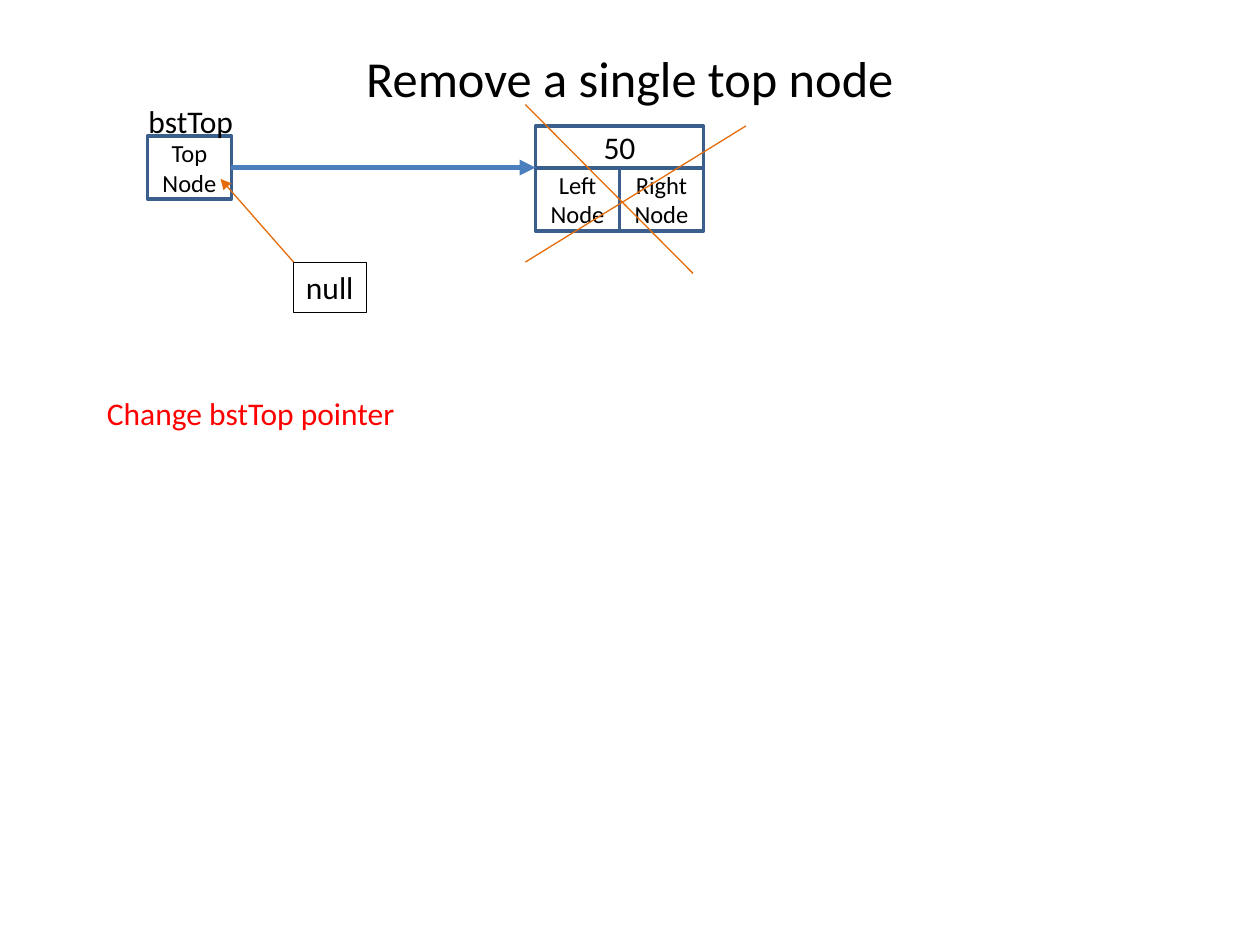
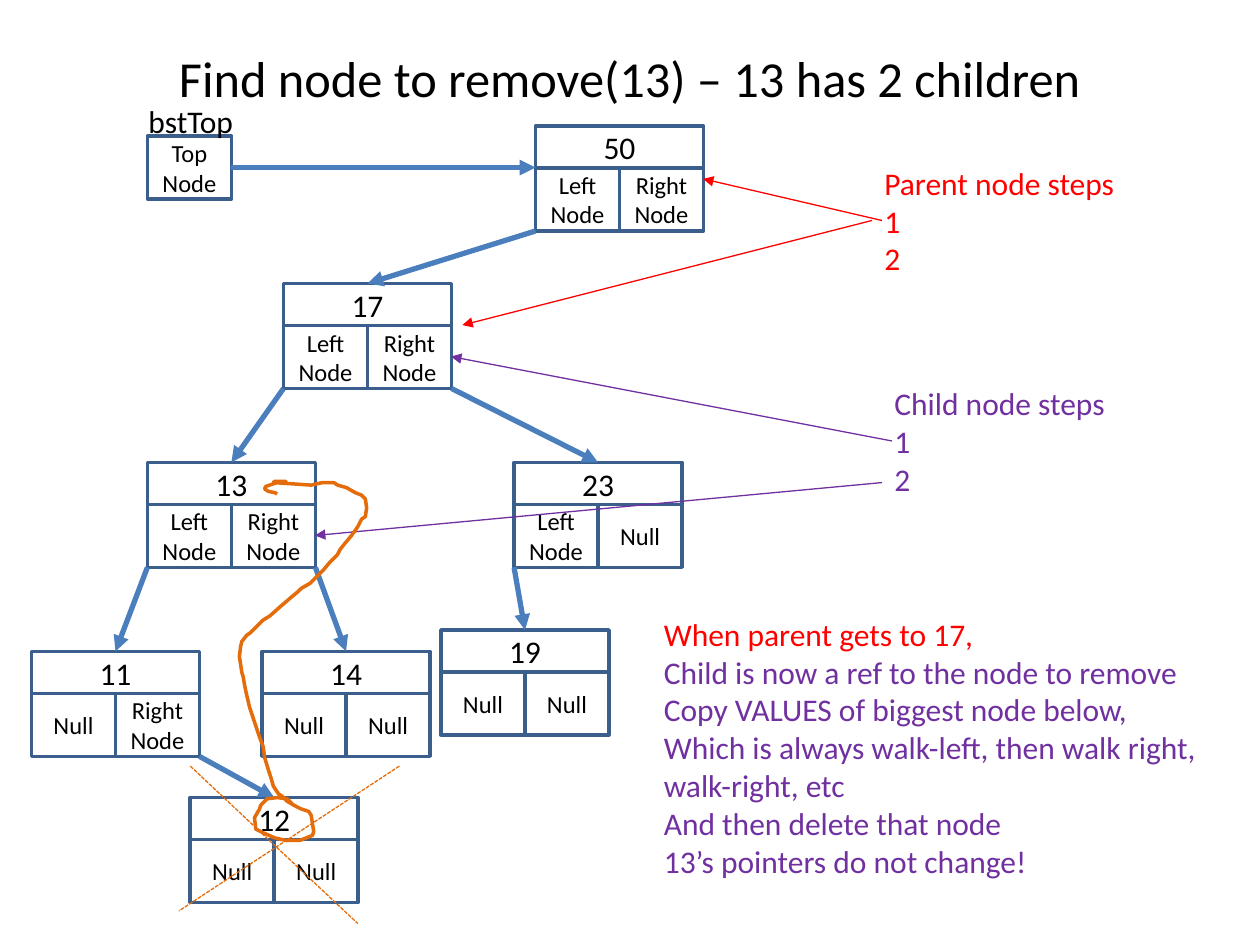
"""Build two slides that show node removal in a binary search tree."""
import pptx
import pptx.util
import pptx.dml.color
import pptx.enum.dml
import pptx.enum.shapes
import pptx.enum.text
import pptx.oxml
import pptx.oxml.ns

Inches = pptx.util.Inches
Pt = pptx.util.Pt
Align = pptx.enum.text.PP_ALIGN
Anchor = pptx.enum.text.MSO_ANCHOR
Fit = pptx.enum.text.MSO_AUTO_SIZE
Rect = pptx.enum.shapes.MSO_SHAPE.RECTANGLE
Straight = pptx.enum.shapes.MSO_CONNECTOR.STRAIGHT
Dash = pptx.enum.dml.MSO_LINE.SQUARE_DOT

BLACK, WHITE = "000000", "FFFFFF"
RED, PURPLE, ORANGE = "FF0000", "7030A0", "E46C0A"
EDGE, BLUE = "3A5F8C", "4B7EBC"
WIDE, HALF, HEAD, FOOT = 4 / 3, 2 / 3, 1 / 3, 0.5


def tint(code):
    return pptx.dml.color.RGBColor.from_string(code)


class Deck:
    def __init__(self):
        self.show = pptx.Presentation()
        self.show.slide_width, self.show.slide_height = Inches(10), Inches(7.5)
        self.face = "Calibri"

    def start(self, title):
        self.slide = self.show.slides.add_slide(self.show.slide_layouts[6])
        self.shapes = self.slide.shapes
        box = self.shapes.add_textbox(*map(Inches, (0.5, 0.3, 9, 0.62)))
        self.letter(box, [(title, BLACK)], 28.8, Align.CENTER, wrap=True, anchor=Anchor.MIDDLE)

    def letter(self, box, lines, size, align, wrap, anchor):
        frame = box.text_frame
        for name, value in {"word_wrap": wrap, "vertical_anchor": anchor}.items():
            setattr(frame, name, value)
        for i, (text, code) in enumerate(lines):
            para = frame.paragraphs[0] if i == 0 else frame.add_paragraph()
            para.alignment = align
            run = para.add_run()
            run.text = text
            for name, value in {"name": self.face, "size": Pt(size)}.items():
                setattr(run.font, name, value)
            run.font.color.rgb = tint(code)

    def stroke(self, item, code, width):
        item.line.color.rgb = tint(code)
        item.line.width = Pt(width)

    def label(self, place, lines, border=None):
        box = self.shapes.add_textbox(*map(Inches, place))
        self.letter(box, lines, 18, Align.LEFT, wrap=False, anchor=Anchor.TOP)
        box.text_frame.auto_size = Fit.SHAPE_TO_FIT_TEXT
        if border:
            self.stroke(box, border, 0.25)

    def cell(self, parent, place, text, size=14, fill=WHITE):
        box = parent.add_shape(Rect, *map(Inches, place))
        box.shadow.inherit = False
        if fill:
            box.fill.solid()
            box.fill.fore_color.rgb = tint(fill)
        else:
            box.fill.background()
        self.stroke(box, EDGE, 2)
        lines = [(part, BLACK) for part in text.split("\n")]
        self.letter(box, lines, size, Align.CENTER, wrap=True, anchor=Anchor.MIDDLE)

    def node(self, x, y, key, left, right):
        group = self.shapes.add_group_shape().shapes
        self.cell(group, (x, y, WIDE, HEAD), key, 18)
        self.cell(group, (x + HALF, y + HEAD, HALF, FOOT), right)
        self.cell(group, (x, y + HEAD, HALF, FOOT), left)

    def line(self, begin, end, code, width=0.75, arrow=True, dash=None):
        link = self.shapes.add_connector(Straight, *map(Inches, begin + end))
        self.stroke(link, code, width)
        if dash:
            link.line.dash_style = dash
        if arrow:
            tail = pptx.oxml.parse_xml(f'<a:tailEnd {pptx.oxml.ns.nsdecls("a")} type="triangle"/>')
            link.get_or_add_ln().append(tail)
        blank = pptx.oxml.parse_xml(f'<a:effectLst {pptx.oxml.ns.nsdecls("a")}/>')
        link.element.spPr.append(blank)

    def branch(self, upper, lower, right):
        begin = (upper[0] + WIDE * right, upper[1] + HEAD + FOOT)
        self.line(begin, (lower[0] + HALF, lower[1]), BLUE, 3)

    def root(self):
        self.node(4.25, 1, "50", "Left Node", "Right Node")
        self.cell(self.shapes, (1.17, 1.08, HALF, FOOT), "Top\nNode", fill=None)
        self.label((1.08, 0.76, 0.88, 0.4), [("bstTop", BLACK)])
        self.line((1.83, 1.33), (4.25, 1.33), BLUE, 3)

    def sketch(self, points):
        pen = self.shapes.build_freeform(*points[0], scale=Inches(0.01))
        pen.add_line_segments(points[1:], close=False)
        curve = pen.convert_to_shape()
        curve.shadow.inherit = False
        curve.fill.background()
        self.stroke(curve, ORANGE, 2)


deck = Deck()

deck.start("Remove a single top node")
deck.root()
deck.line((4.17, 0.83), (5.5, 2.17), ORANGE, arrow=False)
deck.line((4.17, 2.08), (5.92, 1), ORANGE, arrow=False)
deck.label((2.33, 2.08, 0.58, 0.4), [("null", BLACK)], BLACK)
deck.line((2.33, 2.08), (1.75, 1.42), ORANGE)
deck.label((0.75, 3.08, 2.51, 0.4), [("Change bstTop pointer", RED)])

deck.start("Find node to remove(13) – 13 has 2 children")
deck.root()
LEFT, RIGHT, NULL = "Left Node", "Right Node", "Null"
nodes = {
    "17": (2.25, 2.25, LEFT, RIGHT),
    "13": (1.17, 3.67, LEFT, RIGHT),
    "23": (4.08, 3.67, LEFT, NULL),
    "11": (0.25, 5.17, NULL, "Right\nNode"),
    "19": (3.5, 5, NULL, NULL),
    "14": (2.08, 5.17, NULL, NULL),
    "12": (1.51, 6.33, NULL, NULL),
}
spots = {"50": (4.25, 1)}
for key, (x, y, left, right) in nodes.items():
    deck.node(x, y, key, left, right)
    spots[key] = (x, y)
for upper, lower, right in [("50", "17", 0), ("17", "13", 0), ("17", "23", 1), ("13", "11", 0),
                            ("23", "19", 0), ("13", "14", 1), ("11", "12", 1)]:
    deck.branch(spots[upper], spots[lower], right)

for place, head, code in [((7, 3, 1.89, 1.01), "Child node steps", PURPLE),
                          ((6.92, 1.25, 2.05, 1.01), "Parent node steps", RED)]:
    deck.label(place, [(text, code) for text in (head, "1", "2")])
for begin, end, code in [((7, 1.75), (5.58, 1.42), RED), ((6.92, 1.75), (3.67, 2.58), RED),
                         ((7.08, 3.5), (3.58, 2.83), PURPLE), ((7, 3.83), (2.5, 4.25), PURPLE)]:
    deck.line(begin, end, code)

steps = ["Child is now a ref to the node to remove", "Copy VALUES of biggest node below,",
         "Which is always walk-left, then walk right,", "walk-right, etc",
         "And then delete that node", "13’s pointers do not change!"]
deck.label((5.17, 4.83, 4.55, 2.22),
           [("When parent gets to 17,", RED)] + [(step, PURPLE) for step in steps])
deck.line((1.51, 6.08), (2.84, 7.33), ORANGE, arrow=False, dash=Dash)
deck.line((3.17, 6.08), (1.42, 7.23), ORANGE, arrow=False, dash=Dash)
deck.sketch([
    (232, 638), (228, 634), (220, 633), (212, 634), (207, 639), (206, 642), (202, 649),
    (203, 658), (209, 661), (218, 665), (227, 667), (238, 667), (248, 663), (249, 660),
    (247, 647), (245, 644), (239, 642), (233, 639), (228, 636), (224, 632), (221, 630),
    (217, 624), (215, 617), (213, 611), (210, 601), (209, 593), (206, 585), (203, 576),
    (201, 570), (199, 564), (198, 561), (195, 548), (194, 543), (193, 537), (192, 534),
    (190, 521), (191, 513), (192, 509), (196, 504), (199, 502), (205, 496), (209, 492),
    (214, 489), (223, 481), (230, 475), (236, 470), (239, 467), (246, 463), (250, 459),
    (257, 452), (262, 446), (268, 440), (270, 436), (274, 431), (279, 425), (284, 418),
    (287, 412), (290, 410), (291, 403), (290, 396), (287, 393), (282, 391), (275, 387),
    (268, 385), (265, 383), (256, 383), (247, 385), (217, 383), (218, 382), (227, 382),
    (220, 383), (214, 385), (211, 386), (210, 388), (213, 390), (218, 391), (220, 392),
])

deck.show.save("out.pptx")
